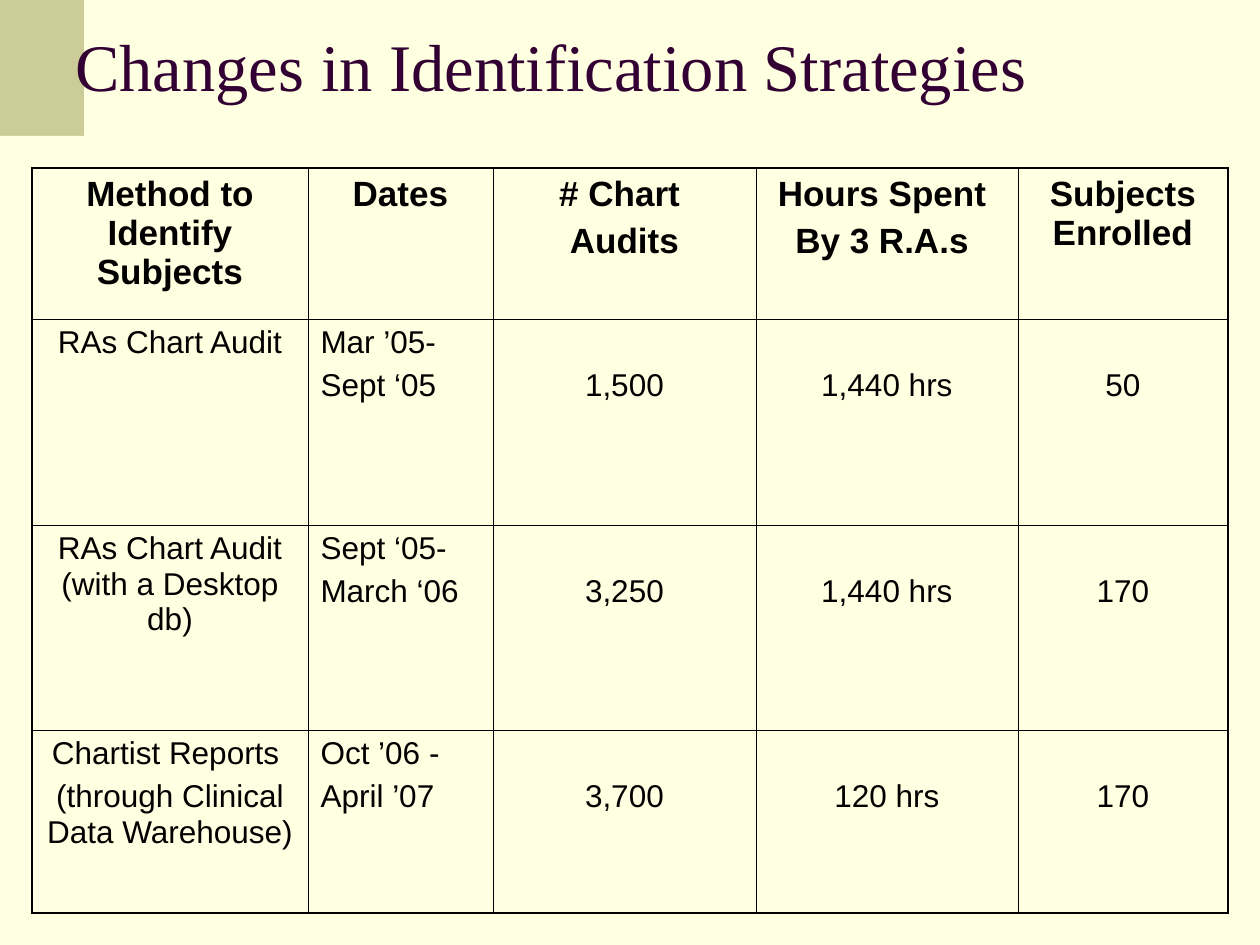
from dataclasses import dataclass

from lxml import etree
from pptx import Presentation
from pptx.dml.color import RGBColor
from pptx.enum.shapes import MSO_SHAPE
from pptx.enum.text import MSO_ANCHOR, PP_ALIGN
from pptx.oxml.ns import qn
from pptx.util import Pt

RECTANGLE = MSO_SHAPE.RECTANGLE
MIDDLE = MSO_ANCHOR.MIDDLE
LEFT, CENTER = PP_ALIGN.LEFT, PP_ALIGN.CENTER
PX = 914400 // 126


@dataclass(frozen=True)
class Theme:
    page: str = "FFFFE1"
    band: str = "CCCC99"
    title: str = "330033"
    ink: str = "000000"
    title_font: str = "Times New Roman"
    body_font: str = "Arial"
    title_size: int = 38
    header_size: int = 20
    body_size: int = 18
    outer_line: float = 1.08
    inner_line: float = 0.45


THEME = Theme()
TITLE = "Changes in Identification Strategies"
HEADERS = [
    ["Method to Identify Subjects"],
    ["Dates"],
    ["# Chart ", "Audits"],
    ["Hours Spent ", "By 3 R.A.s "],
    ["Subjects Enrolled"],
]
STRATEGIES = [
    [["RAs Chart Audit"], ["Mar ’05-", "Sept ‘05"], ["1,500"], ["1,440 hrs"], ["50"]],
    [["RAs Chart Audit (with a Desktop db)"], ["Sept ‘05-", "March ‘06"],
     ["3,250"], ["1,440 hrs"], ["170"]],
    [["Chartist Reports ", "(through Clinical Data Warehouse)"],
     ["Oct ’06 -", "April ’07"], ["3,700"], ["120 hrs"], ["170"]],
]
PANELS = [
    ((0, 0, 84, 672), THEME.band),
    ((0, 136, 1260, 809), THEME.page),
]
COLUMN_WIDTHS = [276, 185, 263, 262, 210]
ROW_HEIGHTS = [151, 206, 205, 183]
TABLE_LEFT, TABLE_TOP = 32, 168
DATE_COLUMN, FIRST_FIGURE_COLUMN = 1, 2
SECOND_LINE_TOP = 49


def px(*lengths):
    return [length * PX for length in lengths]


def write(frame, lines, align, gap, **style):
    color = RGBColor.from_string(style.pop("color"))
    for index, line in enumerate(lines):
        para = frame.paragraphs[0] if index == 0 else frame.add_paragraph()
        para.alignment = align
        para.space_before = Pt(gap if index else 0)
        span = para.add_run()
        span.text = line
        for name, value in style.items():
            setattr(span.font, name, value)
        span.font.color.rgb = color


def draw_borders(cell, widths):
    properties = cell._tc.get_or_add_tcPr()
    for side, width in widths.items():
        line = etree.SubElement(properties, qn(f"a:ln{side}"), w=str(int(Pt(width))))
        fill = etree.SubElement(line, qn("a:solidFill"))
        etree.SubElement(fill, qn("a:srgbClr"), val=THEME.ink)


def add_panels(page):
    for bounds, color in PANELS:
        panel = page.shapes.add_shape(RECTANGLE, *px(*bounds))
        panel.shadow.inherit = False
        panel.fill.solid()
        panel.fill.fore_color.rgb = RGBColor.from_string(color)
        panel.line.fill.background()


def add_title(page):
    box = page.shapes.add_textbox(*px(63, 0, 1134, 130))
    frame = box.text_frame
    frame.word_wrap = True
    frame.vertical_anchor = MIDDLE
    write(frame, [TITLE], LEFT, 0, name=THEME.title_font,
          size=Pt(THEME.title_size), color=THEME.title)


def add_strategy_table(page):
    rows = [HEADERS] + STRATEGIES
    last_row, last_column = len(rows) - 1, len(HEADERS) - 1
    shape = page.shapes.add_table(
        len(rows), len(HEADERS),
        *px(TABLE_LEFT, TABLE_TOP, sum(COLUMN_WIDTHS), sum(ROW_HEIGHTS)))
    table = shape.table
    table.first_row = table.horz_banding = False
    for column, width in zip(table.columns, COLUMN_WIDTHS):
        column.width = width * PX
    for row, height in zip(table.rows, ROW_HEIGHTS):
        row.height = height * PX

    for r, row in enumerate(rows):
        header = r == 0
        size = THEME.header_size if header else THEME.body_size
        for c, lines in enumerate(row):
            cell = table.cell(r, c)
            outer_sides = {"L": c == 0, "R": c == last_column,
                           "T": header, "B": r == last_row}
            draw_borders(cell, {
                side: THEME.outer_line if outer else THEME.inner_line
                for side, outer in outer_sides.items()})
            cell.fill.background()
            if not header and c >= FIRST_FIGURE_COLUMN:
                cell.margin_top = SECOND_LINE_TOP * PX
            align = LEFT if c == DATE_COLUMN and not header else CENTER
            write(cell.text_frame, lines, align, size / 4, name=THEME.body_font,
                  size=Pt(size), bold=header, color=THEME.ink)


def main():
    deck = Presentation()
    deck.slide_width, deck.slide_height = px(1260, 945)
    page = deck.slides.add_slide(deck.slide_layouts[6])
    page.background.fill.solid()
    page.background.fill.fore_color.rgb = RGBColor.from_string(THEME.page)
    add_panels(page)
    add_title(page)
    add_strategy_table(page)
    deck.save("out.pptx")


if __name__ == "__main__":
    main()
